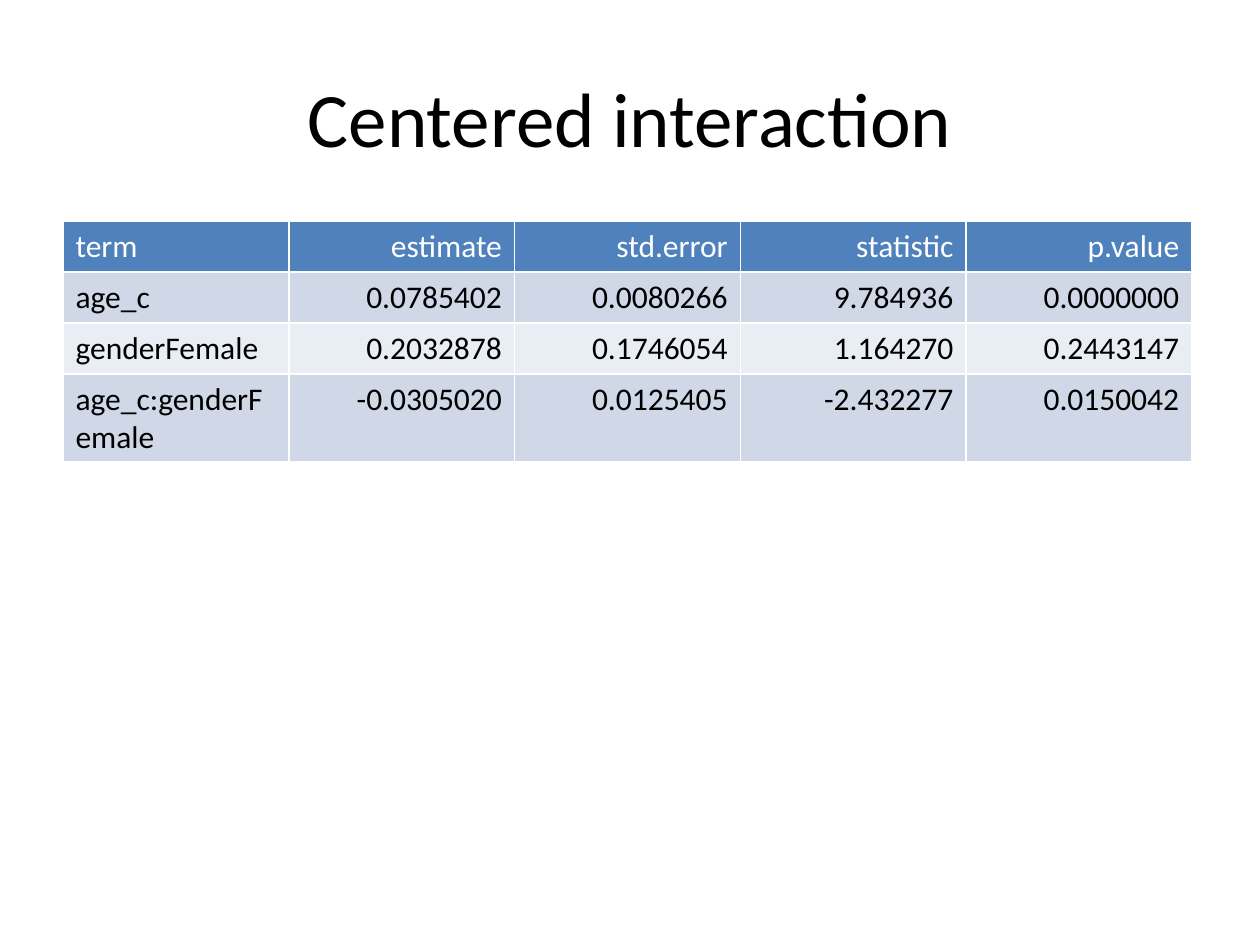
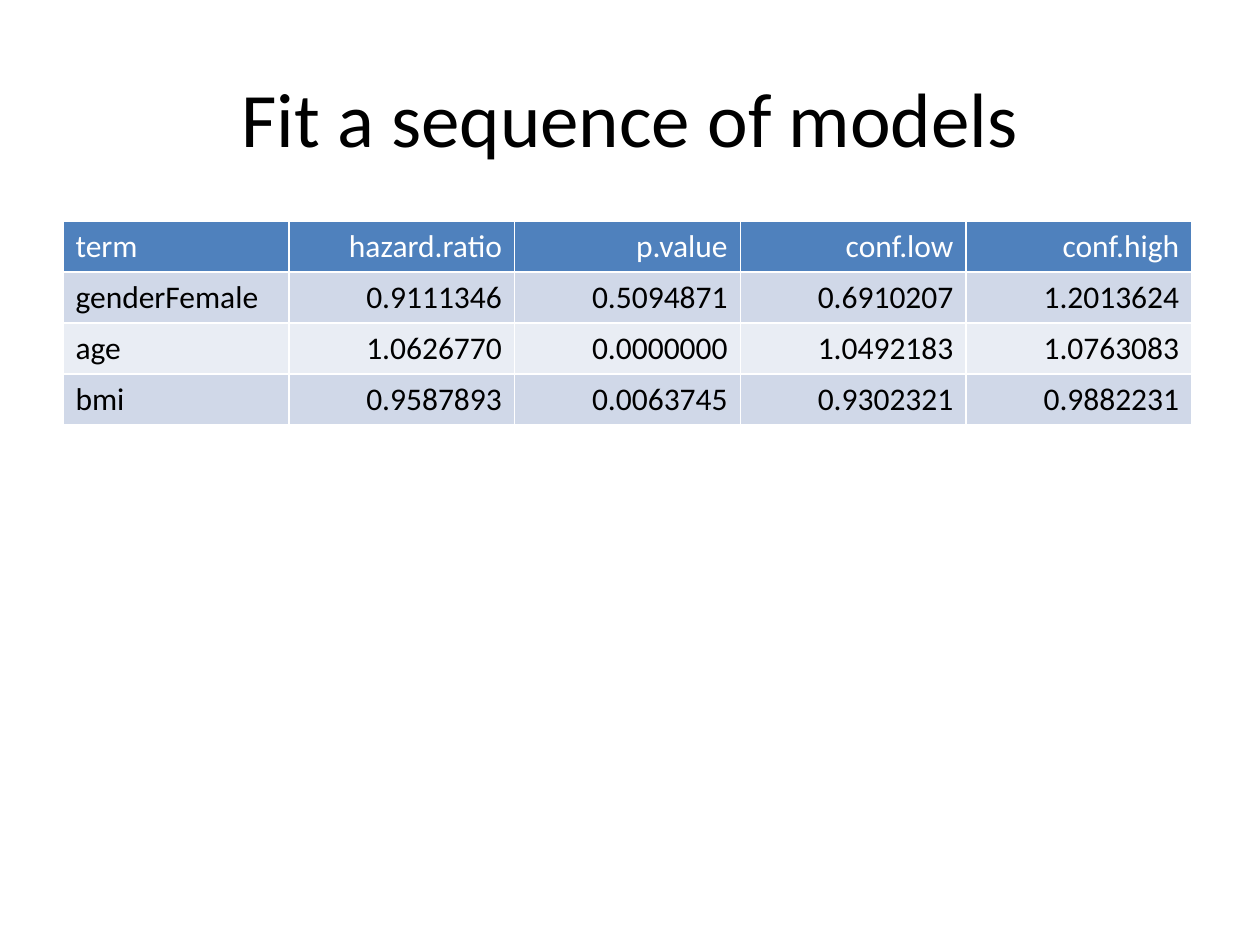
from dataclasses import dataclass

from lxml import etree
from pptx import Presentation
from pptx.dml.color import RGBColor
from pptx.enum.text import MSO_ANCHOR, PP_ALIGN
from pptx.oxml.ns import qn
from pptx.util import Pt

LEFT, CENTER, RIGHT = PP_ALIGN.LEFT, PP_ALIGN.CENTER, PP_ALIGN.RIGHT
MIDDLE = MSO_ANCHOR.MIDDLE
PX = 914400 // 126  # EMU per pixel


@dataclass(frozen=True)
class Theme:
    font: str = "Calibri"
    title_size: int = 44
    table_size: int = 18
    text: str = "000000"
    header_text: str = "FFFFFF"
    header_fill: str = "4F81BD"
    bands: tuple = ("D0D8E8", "E9EDF4")
    border: str = "FFFFFF"
    border_width: int = 1


class Deck:
    def __init__(self, theme):
        self.theme = theme
        self.prs = Presentation()
        self.prs.slide_width, self.prs.slide_height = 1260 * PX, 945 * PX
        self.slide = None

    def add_slide(self, title):
        self.slide = self.prs.slides.add_slide(self.prs.slide_layouts[6])
        self.title(title)

    def add_text(self, tf, text, size, color, align):
        p = tf.paragraphs[0]
        p.alignment = align
        r = p.add_run()
        r.text = text
        r.font.name = self.theme.font
        r.font.size = Pt(size)
        r.font.bold = False
        r.font.color.rgb = RGBColor.from_string(color)

    def title(self, text):
        sp = self.slide.shapes.add_textbox(63 * PX, 38 * PX, 1134 * PX, 157 * PX)
        tf = sp.text_frame
        tf.word_wrap = True
        tf.vertical_anchor = MIDDLE
        self.add_text(tf, text, self.theme.title_size, self.theme.text, CENTER)

    def borders(self, cell):
        tc_pr = cell._tc.get_or_add_tcPr()
        for side in ("a:lnL", "a:lnR", "a:lnT", "a:lnB"):
            ln = etree.SubElement(tc_pr, qn(side), w=str(Pt(self.theme.border_width)))
            fill = etree.SubElement(ln, qn("a:solidFill"))
            etree.SubElement(fill, qn("a:srgbClr"), val=self.theme.border)

    def table(self, rows, x=63, y=221, width=1129, row_height=51):
        th = self.theme
        n_rows, n_cols = len(rows), len(rows[0])
        frame = self.slide.shapes.add_table(
            n_rows, n_cols, x * PX, y * PX, width * PX, n_rows * row_height * PX)
        table = frame.table
        table.horz_banding = False
        for i, row in enumerate(rows):
            # Header first, then alternating bands
            fill = th.bands[(i - 1) % 2] if i else th.header_fill
            color = th.text if i else th.header_text
            for j, text in enumerate(row):
                cell = table.cell(i, j)
                self.borders(cell)
                cell.fill.solid()
                cell.fill.fore_color.rgb = RGBColor.from_string(fill)
                self.add_text(cell.text_frame, text, th.table_size, color,
                              RIGHT if j else LEFT)


deck = Deck(Theme())

# Slide 1: interaction model
deck.add_slide("Centered interaction")
deck.table([
    ("term", "estimate", "std.error", "statistic", "p.value"),
    ("age_c", "0.0785402", "0.0080266", "9.784936", "0.0000000"),
    ("genderFemale", "0.2032878", "0.1746054", "1.164270", "0.2443147"),
    ("age_c:genderFemale", "-0.0305020", "0.0125405", "-2.432277", "0.0150042"),
])

# Slide 2: hazard ratios
deck.add_slide("Fit a sequence of models")
deck.table([
    ("term", "hazard.ratio", "p.value", "conf.low", "conf.high"),
    ("genderFemale", "0.9111346", "0.5094871", "0.6910207", "1.2013624"),
    ("age", "1.0626770", "0.0000000", "1.0492183", "1.0763083"),
    ("bmi", "0.9587893", "0.0063745", "0.9302321", "0.9882231"),
])

deck.prs.save("out.pptx")
